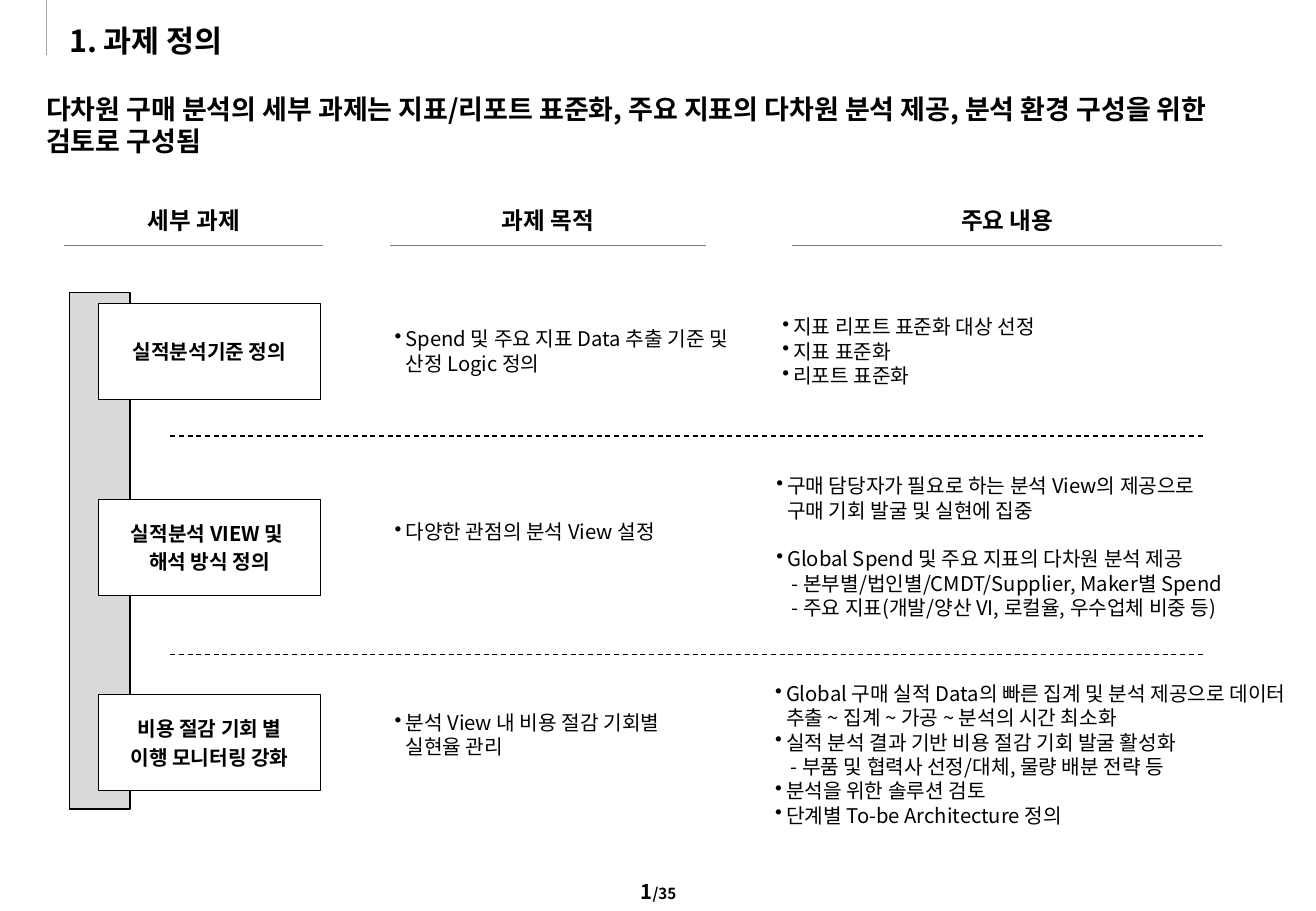
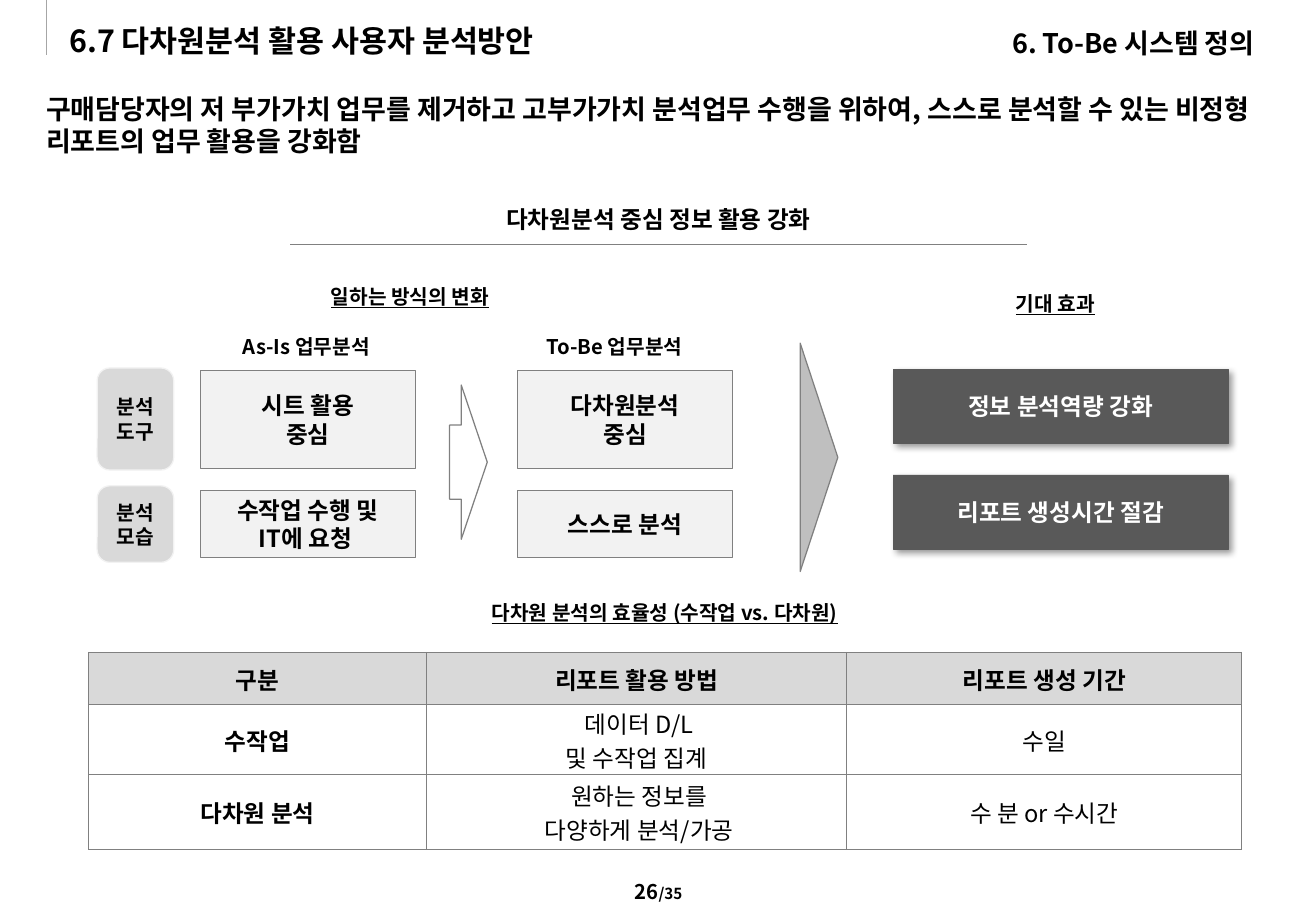
from copy import deepcopy
from lxml.etree import SubElement as sub
from pptx import Presentation
from pptx.dml.color import RGBColor
from pptx.enum.dml import MSO_LINE
from pptx.enum.shapes import MSO_CONNECTOR as Link, MSO_SHAPE as Form
from pptx.enum.text import MSO_ANCHOR as Anchor, MSO_AUTO_SIZE as Auto, PP_ALIGN as Align
from pptx.oxml.ns import qn
from pptx.util import Pt

PX = 9144  # one px is a hundredth of an inch
FONT = "Noto Sans CJK KR"
BLACK, WHITE, GREY = "000000", "FFFFFF", "808080"
PALE, SILVER, DARK = "F2F2F2", "D9D9D9", "595959"
hue = RGBColor.from_string


def write(item, text, size=12, color=BLACK, bold=True, under=False, align=Align.CENTER,
          anchor=Anchor.MIDDLE, ins=(10, 5, 10, 5), lead=1.2, gap=0, bullet=False, tail=""):
    """Fill a shape or cell: \\n parts paragraphs, \\v parts lines."""
    frame = item.text_frame
    hold = item if hasattr(item, "margin_left") else frame
    hold.margin_left, hold.margin_top, hold.margin_right, hold.margin_bottom = [n * PX for n in ins]
    hold.vertical_anchor = anchor
    frame.word_wrap = True
    frame.auto_size = Auto.NONE
    for i, part in enumerate(text.split("\n")):
        para = frame.add_paragraph() if i else frame.paragraphs[0]
        para.text = part
        para.alignment = align
        para.line_spacing = Pt(round(size * lead, 1))
        para.space_before = Pt(gap if i else 0)
        if tail:
            para.add_run().text = tail
        for run in para.runs:
            font = run.font
            font.name, font.bold, font.underline = FONT, bold, under
            font.size = Pt(9 if run.text == tail else size)
            font.color.rgb = hue(color)
            sub(run._r.get_or_add_rPr(), qn("a:ea"), typeface=FONT)
        for stop in para._p.findall(qn("a:br")):
            stop.append(deepcopy(para.runs[0]._r.rPr))
        prop = para._p.get_or_add_pPr()
        prop.set("marL", str(9 * PX if bullet else 0))
        prop.set("indent", str(-9 * PX if bullet else 0))
        if bullet:
            sub(prop, qn("a:buChar"), char="•")
        else:
            sub(prop, qn("a:buNone"))


def draw(slide, form, at, fill=None, line=GREY, width=0.75):
    """Add a text box (no form), a connector or a preset shape."""
    x, y, w, h = [n * PX for n in at]
    if form is None:
        return slide.shapes.add_textbox(x, y, w, h)
    if form == "line":
        item = slide.shapes.add_connector(Link.STRAIGHT, x, y, x + w, y + h)
        sub(item._element.spPr, qn("a:effectLst"))
    else:
        item = slide.shapes.add_shape(form, x, y, w, h)
        item.shadow.inherit = False
        item.fill.solid()
        item.fill.fore_color.rgb = hue(fill)
    item.line.color.rgb = hue(line)
    item.line.width = Pt(width)
    return item


deck = Presentation()
deck.slide_width, deck.slide_height = 1083 * PX, 750 * PX

# Shared frame: title, message, side rule, page number, column heads
pages = [
    ("1", "1. 과제 정의",
     "다차원 구매 분석의 세부 과제는 지표/리포트 표준화, 주요 지표의 다차원 분석 제공, 분석 환경 구성을 위한 검토로 구성됨",
     [(53, 162, 213, "세부 과제"), (321, 162, 260, "과제 목적"), (652, 162, 354, "주요 내용")]),
    ("26", "6.7 다차원분석 활용 사용자 분석방안",
     "구매담당자의 저 부가가치 업무를 제거하고 고부가가치 분석업무 수행을 위하여, 스스로 분석할 수 있는 비정형 리포트의 업무 활용을 강화함",
     [(239, 161, 606, "다차원분석 중심 정보 활용 강화")]),
]
for num, title, lead, heads in pages:
    slide = deck.slides.add_slide(deck.slide_layouts[1])
    spots = [(slide.shapes.title, (57, 18, 745, 30), title, 18, Anchor.MIDDLE),
             (slide.placeholders[1], (38, 76, 992, 76), lead, 16, Anchor.TOP)]
    for item, at, text, size, anchor in spots:
        item.left, item.top, item.width, item.height = [n * PX for n in at]
        write(item, text, size=size, align=Align.LEFT, anchor=anchor, ins=(0, 0, 0, 0))
    draw(slide, "line", (38, 0, 0, 45), line="A6A6A6", width=0.5)
    write(draw(slide, None, (429, 719, 226, 33)), num, anchor=Anchor.TOP, tail="/35")
    for x, y, w, text in heads:
        write(draw(slide, None, (x, y, w, 39)), text, size=14)
        draw(slide, "line", (x, y + 40, w, 0))

first, second = deck.slides

# Slide 1: tasks on a grey spine
draw(first, Form.RECTANGLE, (57, 241, 50, 425), SILVER, BLACK)
tasks = ["실적분석기준 정의", "실적분석 VIEW 및 \n해석 방식 정의", "비용 절감 기회 별\n이행 모니터링 강화"]
for i, text in enumerate(tasks):
    card = draw(first, Form.RECTANGLE, (81, 250 + 161 * i, 183, 79), WHITE, BLACK)
    write(card, text, ins=(4, 4, 4, 4), gap=2.4)

# Slide 1: aims and contents
notes = [
    ((315, 264, 296, 50), 0, "Spend 및 주요 지표 Data 추출 기준 및 산정 Logic 정의"),
    ((315, 423, 296, 30), 0, "다양한 관점의 분석 View 설정"),
    ((315, 580, 296, 50), 0, "분석 View 내 비용 절감 기회별 \v실현율 관리"),
    ((634, 254, 324, 71), 0, "지표 리포트 표준화 대상 선정\n지표 표준화\n리포트 표준화"),
    ((629, 385, 418, 131), 14.4,
     "구매 담당자가 필요로 하는 분석 View의 제공으로 \v구매 기회 발굴 및 실현에 집중\n"
     "Global Spend 및 주요 지표의 다차원 분석 제공\v"
     " - 본부별/법인별/CMDT/Supplier, Maker별 Spend\v"
     " - 주요 지표(개발/양산 VI, 로컬율, 우수업체 비중 등)"),
    ((628, 556, 441, 131), 0,
     "Global 구매 실적 Data의 빠른 집계 및 분석 제공으로 데이터 추출 ~ 집계 ~ 가공 ~ 분석의 시간 최소화\n"
     "실적 분석 결과 기반 비용 절감 기회 발굴 활성화\v"
     " - 부품 및 협력사 선정/대체, 물량 배분 전략 등\n"
     "분석을 위한 솔루션 검토\n단계별 To-be Architecture 정의"),
]
for at, gap, text in notes:
    write(draw(first, None, at), text, bold=False, align=Align.LEFT,
          anchor=Anchor.TOP, gap=gap, bullet=True)
for y in (359, 539):
    rule = draw(first, "line", (140, y, 851, 0), line=BLACK)
    rule.line.dash_style = MSO_LINE.DASH

# Slide 2: labels
write(draw(second, None, (833, 22, 238, 27)), "6. To-Be 시스템 정의",
      size=16, align=Align.LEFT, ins=(0, 0, 0, 0))
labels = [((367, 489, 360, 30), "다차원 분석의 효율성 (수작업 vs. 다차원)"),
          ((254, 229, 167, 30), "일하는 방식의 변화"),
          ((822, 235, 93, 30), "기대 효과")]
for at, text in labels:
    write(draw(second, None, at), text, under=True)
for x, text in ((190, "As-Is 업무분석"), (440, "To-Be 업무분석")):
    write(draw(second, None, (x, 270, 160, 30)), text, align=Align.LEFT)

# Slide 2: tool and way of work, before and after
rows = [(303, 84, "분석\n도구", 305, 81, ("시트 활용\v중심", "다차원분석\v중심")),
        (400, 63, "분석\n모습", 404, 55, ("수작업 수행 및\vIT에 요청 ", "스스로 분석"))]
for top, tall, tag, y, h, texts in rows:
    write(draw(second, Form.ROUNDED_RECTANGLE, (80, top, 63, tall), SILVER, PALE), tag)
    for x, text in zip((165, 426), texts):
        write(draw(second, Form.RECTANGLE, (x, y, 177, h), PALE), text, size=14)
arrow = draw(second, Form.RIGHT_ARROW, (370, 317, 31, 127), WHITE)
arrow.adjustments[0], arrow.adjustments[1] = 0.48, 0.69
wedge = draw(second, Form.ISOSCELES_TRIANGLE, (580, 361, 188, 31), "BFBFBF")
wedge.rotation = 90

# Slide 2: effects with a soft shadow
for y, text in ((304, "정보 분석역량 강화"), (391, "리포트 생성시간 절감")):
    card = draw(second, Form.RECTANGLE, (735, y, 276, 61), DARK, DARK, 0.25)
    write(card, text, size=14, color=WHITE)
    shade = sub(card._element.spPr.find(qn("a:effectLst")), qn("a:outerShdw"),
                blurRad=str(Pt(4)), dist=str(Pt(3)), dir="2700000", algn="tl", rotWithShape="0")
    sub(sub(shade, qn("a:srgbClr"), val=BLACK), qn("a:alpha"), val="40000")

# Slide 2: table
data = [("구분", "리포트 활용 방법", "리포트 생성 기간"),
        ("수작업", "데이터 D/L\v및 수작업 집계 ", "수일"),
        ("다차원 분석", "원하는 정보를\n다양하게 분석/가공", "수 분 or 수시간")]
grid = second.shapes.add_table(3, 3, 73 * PX, 537 * PX, 949 * PX, 158 * PX).table
grid.first_row = grid.horz_banding = False
for col, w in zip(grid.columns, (278, 346, 325)):
    col.width = w * PX
for row, h in zip(grid.rows, (43, 53, 62)):
    row.height = h * PX
for r, texts in enumerate(data):
    for c, text in enumerate(texts):
        cell = grid.cell(r, c)
        prop = cell._tc.get_or_add_tcPr()
        for side in "LRTB":
            edge = sub(prop, qn("a:ln" + side), w=str(Pt(0.75)))
            sub(sub(edge, qn("a:solidFill")), qn("a:srgbClr"), val=GREY)
        cell.fill.solid()
        cell.fill.fore_color.rgb = hue(WHITE if r else SILVER)
        write(cell, text, size=14, bold=r == 0 or c == 0, lead=1.45,
              ins=(12, 1, 8, 0) if r and c == 1 else (1, 1, 1, 0))

deck.save("out.pptx")
